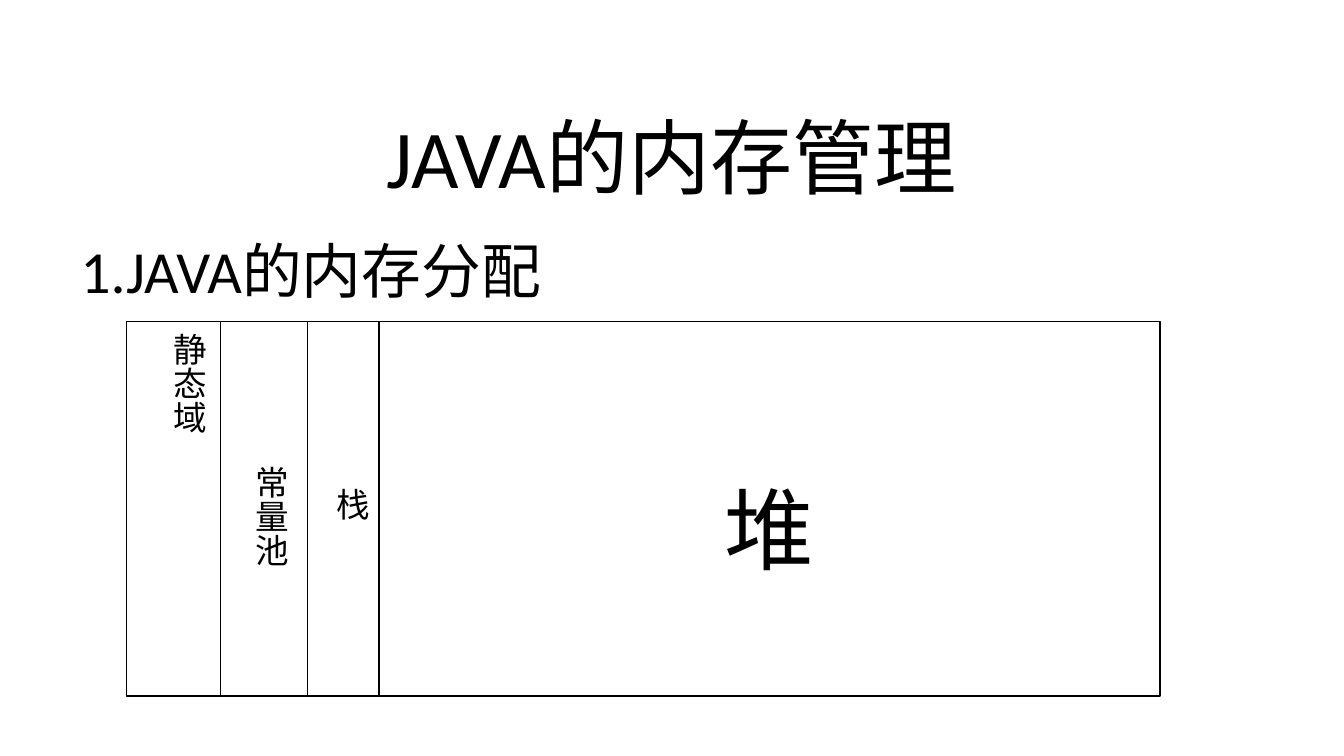
from lxml import etree
from pptx import Presentation
from pptx.dml.color import RGBColor
from pptx.enum.shapes import MSO_CONNECTOR, MSO_SHAPE
from pptx.enum.text import MSO_ANCHOR, PP_ALIGN
from pptx.oxml.ns import qn
from pptx.util import Inches, Pt

STRAIGHT = MSO_CONNECTOR.STRAIGHT
RECTANGLE = MSO_SHAPE.RECTANGLE
TOP, MIDDLE = MSO_ANCHOR.TOP, MSO_ANCHOR.MIDDLE
LEFT, CENTER = PP_ALIGN.LEFT, PP_ALIGN.CENTER

TITLE = "JAVA的内存管理"
HEADING = "1.JAVA的内存分配"
INK = "000000"
MEMORY_BOX = (0.94, 2.39, 7.69, 2.79)
DIVIDERS = [1.64, 2.29, 2.82]
REGIONS = [
    ("静态域", (1.11, 2.38, 0.5, 2.82), 18, True),
    ("常量池", (1.72, 3.37, 0.5, 0.85), 18, False),
    ("栈", (2.32, 3.53, 0.5, 0.35), 18, False),
    ("堆", (5.15, 3.51, 1, 0.77), 48, False),
]


def color(value):
    return RGBColor.from_string(value)


def place(shape, box):
    shape.left, shape.top, shape.width, shape.height = map(Inches, box)


def write(shape, text, size=18, font="Arial", align=LEFT, anchor=TOP,
          wrap=True, vertical=False, spacing=None):
    frame = shape.text_frame
    frame.word_wrap = wrap
    frame.vertical_anchor = anchor
    side, end = (0.05, 0.1) if vertical else (0.1, 0.05)
    frame.margin_left = frame.margin_right = Inches(side)
    frame.margin_top = frame.margin_bottom = Inches(end)
    if vertical:
        frame._txBody.bodyPr.set("vert", "eaVert")
    paragraph = frame.paragraphs[0]
    paragraph.alignment = align
    paragraph.line_spacing = spacing
    run = paragraph.add_run()
    run.text = text
    run.font.size = Pt(size)
    run.font.name = font
    run.font.color.rgb = color(INK)


def outline(shape):
    shape.line.color.rgb = color(INK)
    shape.line.width = Pt(0.75)


def main():
    presentation = Presentation()
    presentation.slide_width = Inches(10)
    presentation.slide_height = presentation.slide_width * 9 // 16
    slide = presentation.slides.add_slide(presentation.slide_layouts[5])
    shapes = slide.shapes

    place(shapes.title, (0.5, 0.69, 9, 0.94))
    write(shapes.title, TITLE, size=44, font="Calibri", align=CENTER, anchor=MIDDLE)

    heading = shapes.add_textbox(*map(Inches, (0.5, 1.79, 3.86, 0.55)))
    write(heading, HEADING, size=32, font="Calibri", spacing=0.8)

    memory = shapes.add_shape(RECTANGLE, *map(Inches, MEMORY_BOX))
    memory.shadow.inherit = False
    memory.fill.background()
    outline(memory)

    top, height = MEMORY_BOX[1], MEMORY_BOX[3]
    for x in DIVIDERS:
        divider = shapes.add_connector(STRAIGHT, *map(Inches, (x, top, x, top + height)))
        outline(divider)
        etree.SubElement(divider._element.spPr, qn("a:effectLst"))

    for text, box, size, wrap in REGIONS:
        label = shapes.add_textbox(*map(Inches, box))
        write(label, text, size=size, align=CENTER, wrap=wrap, vertical=True)

    presentation.save("out.pptx")


if __name__ == "__main__":
    main()
